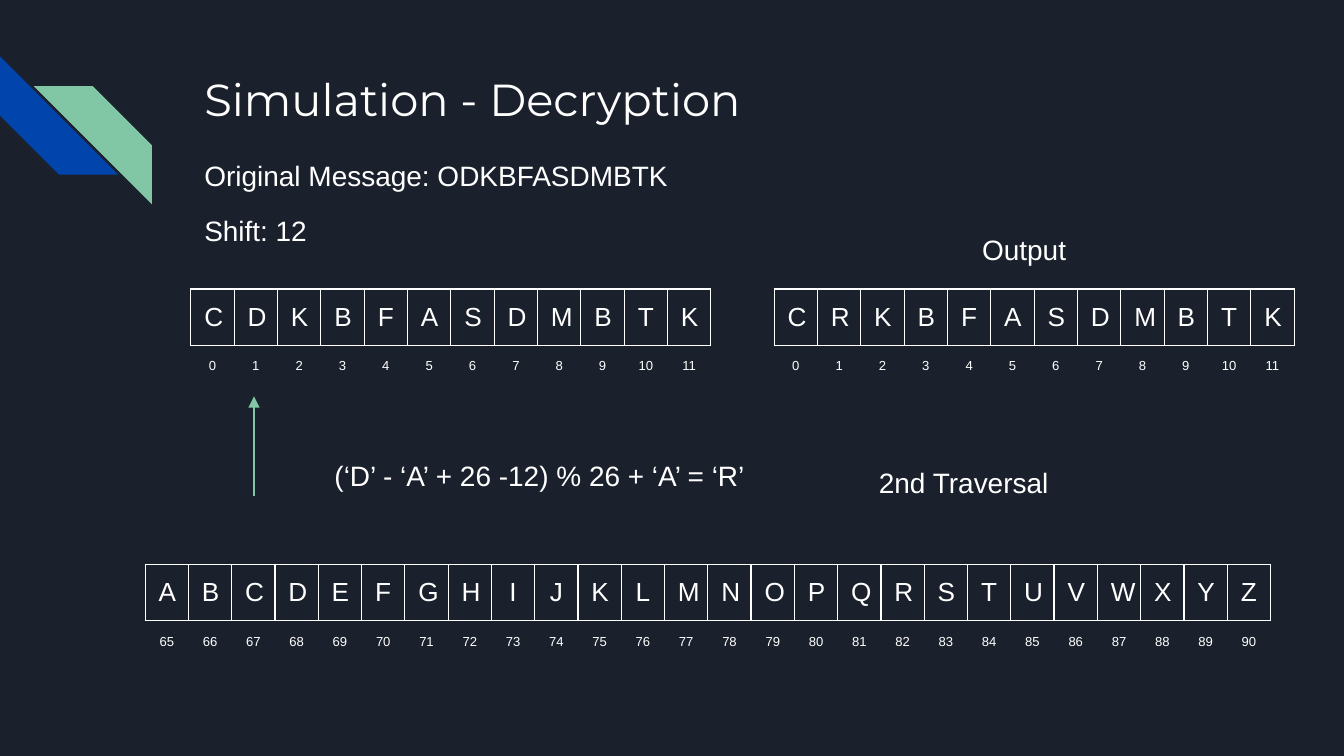
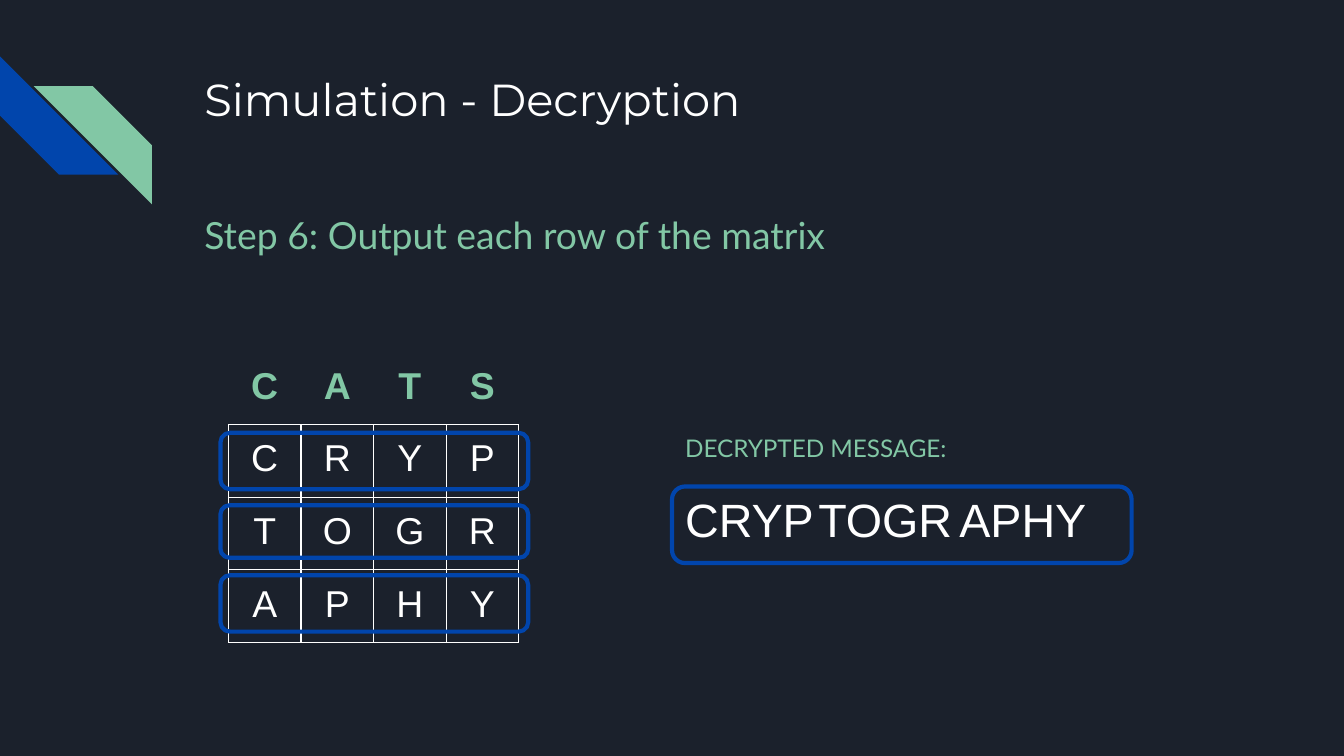
from lxml.etree import SubElement
from pptx import Presentation
from pptx.dml.color import RGBColor
from pptx.enum.shapes import MSO_CONNECTOR, MSO_SHAPE
from pptx.enum.text import MSO_ANCHOR, MSO_AUTO_SIZE, PP_ALIGN
from pptx.oxml.ns import qn
from pptx.util import Inches, Pt

COLORS = {"background": "1B212C", "blue": "0145AC", "green": "82C7A5", "white": "FFFFFF"}
TITLE = "Simulation - Decryption"
TITLE_BOX = (1.42, 0.43, 7.7, 1)
STRIPES = [  # left, top, rotation, color
    (0, 0.42, 270, "blue"),
    (0.25, 0.64, 90, "green"),
]
STRIPE_SIZE = 0.88

MESSAGE_LINES = ["Original Message: ODKBFASDMBTK", "Shift: 12"]
FORMULA = "(‘D’ - ‘A’ + 26 -12) % 26 + ‘A’ = ‘R’"
LETTER_STRIPS = [  # letters, first index, left, top, width
    ("CDKBFASDMBTK", 0, 1.42, 2.15, 3.87),
    ("CRKBFASDMBTK", 0, 5.76, 2.15, 3.87),
    ("ABCDEFGHIJKLMNOPQRSTUVWXYZ", 65, 1.08, 4.2, 8.38),
]
STRIP_LABELS = [("Output", (6.73, 1.59, 1.78, 0.4)), ("2nd Traversal", (6.28, 3.33, 1.78, 0.4))]

STEP = "Step 6: Output each row of the matrix"
KEYWORD = "CATS"
MATRIX_ROWS = ["CRYP", "TOGR", "APHY"]
OUTPUT_LEFTS = [5, 5.99, 7.04]
ROW_FRAMES = [(1.64, 3.22, 2.29, 0.42), (1.64, 3.76, 2.29, 0.39), (1.64, 4.28, 2.29, 0.42)]
OUTPUT_FRAME = (5, 3.62, 3.42, 0.57)


def rgb(color):
    return RGBColor.from_string(COLORS[color])


def inches(values):
    return [Inches(value) for value in values]


def set_box(shape, box):
    shape.left, shape.top, shape.width, shape.height = inches(box)


def style_runs(paragraph, size, font="Arial", color="white", bold=False):
    for run in paragraph.runs:
        run.font.size = Pt(size)
        run.font.name = font
        run.font.bold = bold
        run.font.color.rgb = rgb(color)


def set_text(shape, lines, size, font="Arial", color="white",
             align=PP_ALIGN.LEFT, line_spacing=1.0):
    frame = shape.text_frame
    frame.text = "\n".join(lines)
    frame.word_wrap = True
    frame.auto_size = MSO_AUTO_SIZE.NONE
    frame.vertical_anchor = MSO_ANCHOR.TOP
    frame.margin_left = frame.margin_right = Inches(0.1)
    frame.margin_top = frame.margin_bottom = Inches(0.1)
    for index, paragraph in enumerate(frame.paragraphs):
        properties = paragraph._p.get_or_add_pPr()
        properties.set("marL", "0")
        properties.set("indent", "0")
        SubElement(properties, qn("a:buNone"))
        paragraph.alignment = align
        paragraph.line_spacing = line_spacing
        paragraph.space_before = Pt(12 if index else 0)
        style_runs(paragraph, size, font, color)


def add_text(slide, box, text, size, **style):
    set_text(slide.shapes.add_textbox(*inches(box)), [text], size, **style)


def set_borders(cell, visible_sides):
    properties = cell._tc.get_or_add_tcPr()
    for side in "LRTB":
        line = SubElement(properties, qn(f"a:ln{side}"), w=str(Pt(0.75)))
        if side in visible_sides:
            fill = SubElement(line, qn("a:solidFill"))
            SubElement(fill, qn("a:srgbClr"), val=COLORS["white"])
        else:
            SubElement(line, qn("a:noFill"))


def add_grid(slide, left, top, width, row_height, rows):
    """Each row is (texts, visible border sides, run style)."""
    columns = len(rows[0][0])
    frame = slide.shapes.add_table(
        len(rows), columns, *inches((left, top, width, row_height * len(rows))))
    table = frame.table
    table.first_row = table.horz_banding = False
    for column in table.columns:
        column.width = Inches(width) // columns
    for row_index, (texts, sides, style) in enumerate(rows):
        table.rows[row_index].height = Inches(row_height)
        for column_index, text in enumerate(texts):
            cell = table.cell(row_index, column_index)
            set_borders(cell, sides)
            cell.fill.background()
            cell.margin_left = cell.margin_right = Inches(0.1)
            cell.margin_top = cell.margin_bottom = Inches(0.1)
            cell.text = text
            paragraph = cell.text_frame.paragraphs[0]
            paragraph.alignment = PP_ALIGN.CENTER
            style_runs(paragraph, **style)


def add_letter_strip(slide, letters, first_index, left, top, width):
    indexes = [str(first_index + offset) for offset in range(len(letters))]
    add_grid(slide, left, top, width, 0.42,
             [(letters, "LRTB", {"size": 14}), (indexes, "T", {"size": 7})])


def add_arrow(slide, start, end):
    arrow = slide.shapes.add_connector(MSO_CONNECTOR.STRAIGHT, *inches(start + end))
    arrow.line.color.rgb = rgb("green")
    arrow.line.width = Pt(1.5)
    properties = arrow.element.spPr
    SubElement(properties.find(qn("a:ln")), qn("a:tailEnd"), type="triangle")
    SubElement(properties, qn("a:effectLst"))


def add_frame(slide, box):
    frame = slide.shapes.add_shape(MSO_SHAPE.ROUNDED_RECTANGLE, *inches(box))
    frame.shadow.inherit = False
    frame.adjustments[0] = 0.17
    frame.fill.background()
    frame.line.color.rgb = rgb("blue")
    frame.line.width = Pt(2.25)


def style_layout(layout, slide):
    """Give the layout its background, title place and stripes, drawn by way of a slide."""
    layout.background.fill.solid()
    layout.background.fill.fore_color.rgb = rgb("background")
    title = layout.placeholders[0]
    set_box(title, TITLE_BOX)
    for left, top, rotation, color in STRIPES:
        stripe = slide.shapes.add_shape(
            MSO_SHAPE.DIAGONAL_STRIPE, *inches((left, top, STRIPE_SIZE, STRIPE_SIZE)))
        stripe.rotation = rotation
        stripe.shadow.inherit = False
        stripe.fill.solid()
        stripe.fill.fore_color.rgb = rgb(color)
        stripe.line.fill.background()
        title.element.addprevious(stripe.element)


def add_slide(presentation):
    slide = presentation.slides.add_slide(presentation.slide_layouts[1])
    set_text(slide.shapes.title, [TITLE], 24, font="Montserrat")
    return slide, slide.placeholders[1]


def build_traversal(slide, body):
    set_box(body, (1.42, 1.1, 7.7, 1.04))
    set_text(body, MESSAGE_LINES, 15, line_spacing=0.95)
    for strip in LETTER_STRIPS:
        add_letter_strip(slide, *strip)
    add_arrow(slide, (1.89, 3.69), (1.89, 2.95))
    add_text(slide, (2.39, 3.33, 3.38, 0.54), FORMULA, 15, line_spacing=0.95)
    for text, box in STRIP_LABELS:
        add_text(slide, box, text, 15, align=PP_ALIGN.CENTER, line_spacing=1.15)


def build_matrix(slide, body):
    set_box(body, (1.42, 1.43, 7.79, 0.54))
    set_text(body, [STEP], 20, font="Lato", color="green", line_spacing=1.15)
    header = (KEYWORD, "B", {"size": 20, "color": "green", "bold": True})
    rows = [(letters, "LRTB", {"size": 20}) for letters in MATRIX_ROWS]
    add_grid(slide, 1.7, 2.62, 2.16, 0.54, [header] + rows)
    for left, letters in zip(OUTPUT_LEFTS, MATRIX_ROWS):
        add_text(slide, (left, 3.58, 1.2, 0.65), letters, 25, line_spacing=0.95)
    for box in ROW_FRAMES + [OUTPUT_FRAME]:
        add_frame(slide, box)
    add_text(slide, (5, 3.09, 4.63, 0.42), "DECRYPTED MESSAGE:", 13,
             font="Lato", color="green", line_spacing=1.15)


def main():
    presentation = Presentation()
    presentation.slide_width = Inches(10)
    presentation.slide_height = Inches(10) * 9 // 16
    traversal, traversal_body = add_slide(presentation)
    style_layout(presentation.slide_layouts[1], traversal)
    build_traversal(traversal, traversal_body)
    build_matrix(*add_slide(presentation))
    presentation.save("out.pptx")


if __name__ == "__main__":
    main()
